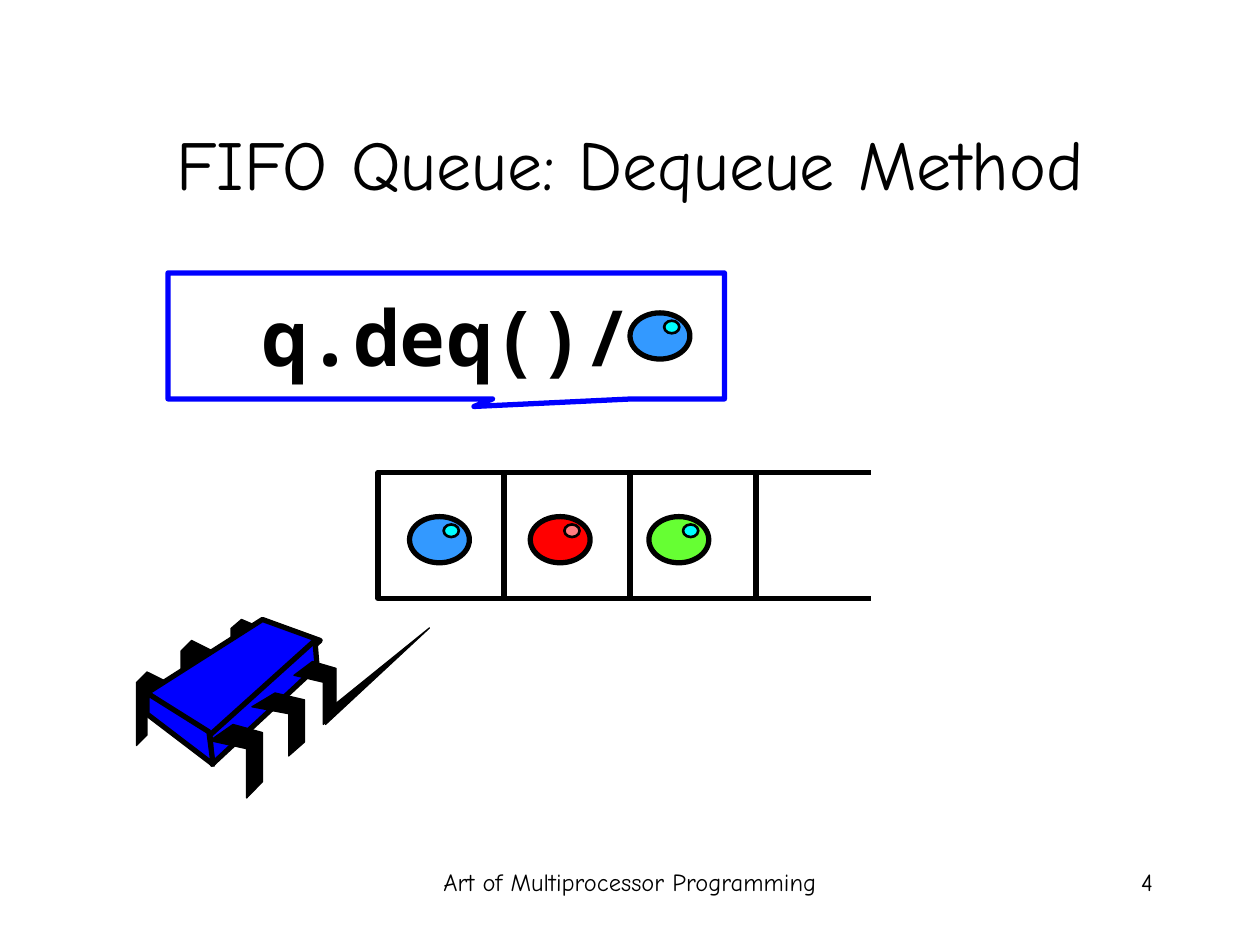
"""Build the FIFO queue dequeue slide on a grid of 120 columns by 90 rows."""
from typing import NamedTuple, Optional

from lxml import etree
from pptx import Presentation
from pptx import util as u
from pptx.dml.color import RGBColor
from pptx.enum import shapes as sh, text as tx
from pptx.oxml.ns import qn

COLS, ROWS = 120, 90
WIDTH, HEIGHT = u.Inches(10), u.Inches(7.5)
BLACK, BLUE, CYAN = "000000", "0000FF", "00FFFF"
COMIC, MONO = "Comic Neue", "Noto Sans Mono"
CELL = 12
QUEUE_LEFT, QUEUE_TOP = 36, 45
FAR_LEG = ((1, 1/7), (1/3, 0), (0, 1/7), (0, 1), (1/3, 6/7), (1/3, 2/7), (1, 3/7))
NEAR_LEG = ((0.44, 0), (0, 0.22), (0.7, 0.33), (0.7, 1), (1, 0.78), (1, 0.11))


class Box(NamedTuple):
    """A rectangle in grid columns and rows."""
    col: float
    row: float
    cols: float
    rows: float


class Bead(NamedTuple):
    """A queue item with its highlight."""
    col: float
    row: float
    fill: str
    shine: str


class Leg(NamedTuple):
    """A chip leg: its outline as shares of a box."""
    outline: tuple
    box: Box


class Face(NamedTuple):
    """A side of the chip, with its corners on the grid."""
    points: tuple


BEADS = (
    Bead(61.8, 49.2, "66FF33", CYAN),
    Bead(50.5, 49.2, "FF0000", "FF7C80"),
    Bead(39, 49.2, "3399FF", CYAN),
    Bead(60, 29.8, "3399FF", CYAN),
)
FAR_LEGS = (
    Leg(FAR_LEG, Box(13, 64, 3, 7)),
    Leg(FAR_LEG, Box(17.25, 61, 3, 7)),
    Leg(FAR_LEG, Box(22, 59, 3, 6)),
)
NEAR_LEGS = (
    Leg(NEAR_LEG, Box(20, 69, 5, 7)),
    Leg(NEAR_LEG, Box(24, 66, 5, 6)),
    Leg(NEAR_LEG, Box(28, 63, 4, 6)),
)
FACES = (
    Face(((25, 59), (14, 66), (20.2, 70.2), (30.5, 61))),
    Face(((30, 61), (20, 70), (20.2, 72.8), (30.2, 63.5))),
    Face(((14, 66), (14, 68), (20.3, 72.8), (19.9, 69.7))),
)
POINTER = ((31, 69), (32, 67), (40.9, 59.8))


def rgb(value: str) -> RGBColor:
    """Turn a hex string into a colour."""
    return RGBColor.from_string(value)


def x(cols: float) -> int:
    """Convert grid columns to a length."""
    return u.Emu(round(WIDTH * cols / COLS))


def y(rows: float) -> int:
    """Convert grid rows to a length."""
    return u.Emu(round(HEIGHT * rows / ROWS))


def place(box: Box) -> tuple:
    """Convert a box to left, top, width and height."""
    return x(box.col), y(box.row), x(box.cols), y(box.rows)


def paint(sp, fill: Optional[str], line: str = BLACK, width: float = 3) -> None:
    """Set the fill and outline of a shape and drop its shadow."""
    sp.shadow.inherit = False
    if fill:
        sp.fill.solid()
        sp.fill.fore_color.rgb = rgb(fill)
    else:
        sp.fill.background()
    sp.line.color.rgb = rgb(line)
    sp.line.width = u.Pt(width)


def preset(parent, kind, box: Box, fill: Optional[str] = None, line: str = BLACK, width: float = 3):
    """Draw a preset shape."""
    sp = parent.add_shape(kind, *place(box))
    paint(sp, fill, line, width)
    return sp


def polygon(parent, points, fill: str = BLACK, width: float = 0.75) -> None:
    """Draw a closed outline through grid points."""
    corners = [(x(col), y(row)) for col, row in points]
    builder = parent.build_freeform(*corners[0])
    builder.add_line_segments(corners[1:], close=True)
    paint(builder.convert_to_shape(), fill, BLACK, width)


def draw_leg(parent, leg: Leg) -> None:
    """Draw one leg of the chip."""
    b = leg.box
    polygon(parent, [(b.col + b.cols * px, b.row + b.rows * py) for px, py in leg.outline])


def draw_bead(parent, bead: Bead) -> None:
    """Draw a bead and its highlight as a group."""
    group = parent.add_group_shape().shapes
    oval = sh.MSO_SHAPE.OVAL
    preset(group, oval, Box(bead.col, bead.row, 5.7, 4.4), bead.fill)
    preset(group, oval, Box(bead.col + 3.25, bead.row + 0.75, 1.45, 1.2), bead.shine, width=1.5)


def draw_rail(parent, row: float) -> None:
    """Draw an edge of the open end of the queue."""
    left = QUEUE_LEFT + 3 * CELL - 1
    rail = parent.add_connector(sh.MSO_CONNECTOR.STRAIGHT, x(left), y(row), x(left + CELL), y(row))
    rail.line.color.rgb = rgb(BLACK)
    rail.line.width = u.Pt(3)
    etree.SubElement(rail._element.spPr, qn("a:effectLst"))


def write(sp, words: str, size: float, font: str, align, anchor, bold: bool = False) -> None:
    """Put formatted text in a shape."""
    tf = sp.text_frame
    tf.text = words
    tf.word_wrap = True
    tf.vertical_anchor = anchor
    p = tf.paragraphs[0]
    p.alignment = align
    r = p.runs[0]
    r.font.size, r.font.name, r.font.bold = u.Pt(size), font, bold
    r.font.color.rgb = rgb(BLACK)


def draw_chip(parent) -> None:
    """Draw the chip with its legs as a group."""
    group = parent.add_group_shape().shapes
    for leg in FAR_LEGS:
        draw_leg(group, leg)
    for face in FACES:
        polygon(group, face.points, BLUE, 3)
    for leg in NEAR_LEGS:
        draw_leg(group, leg)


def main() -> None:
    """Build and save the slide."""
    prs = Presentation()
    prs.slide_width, prs.slide_height = WIDTH, HEIGHT
    s = prs.slides.add_slide(prs.slide_layouts[5])
    center, right = tx.PP_ALIGN.CENTER, tx.PP_ALIGN.RIGHT
    top, middle = tx.MSO_ANCHOR.TOP, tx.MSO_ANCHOR.MIDDLE

    title = s.shapes.title
    title.left, title.top, title.width, title.height = place(Box(9, 8, 102, 15))
    write(title, "FIFO Queue: Dequeue Method", 40, COMIC, center, middle)
    footer = s.shapes.add_textbox(*place(Box(41, 82, 38, 6)))
    write(footer, "Art of Multiprocessor Programming", 14, COMIC, center, top)
    number = s.shapes.add_textbox(*place(Box(86, 82, 25, 6)))
    write(number, "4", 14, COMIC, right, top)

    for i in range(3):
        preset(s.shapes, sh.MSO_SHAPE.RECTANGLE, Box(QUEUE_LEFT + i * CELL, QUEUE_TOP, CELL, CELL))
    for row in (QUEUE_TOP, QUEUE_TOP + CELL):
        draw_rail(s.shapes, row)

    draw_chip(s.shapes)
    polygon(s.shapes, POINTER)
    call = preset(s.shapes, sh.MSO_SHAPE.ROUNDED_RECTANGULAR_CALLOUT, Box(16, 26, 53, 12), line=BLUE)
    for i, value in enumerate((0.05, 0.56, 0)):
        call.adjustments[i] = value
    write(call, "q.deq()/", 44, MONO, center, middle, bold=True)
    for bead in BEADS:
        draw_bead(s.shapes, bead)
    prs.save("out.pptx")


if __name__ == "__main__":
    main()
